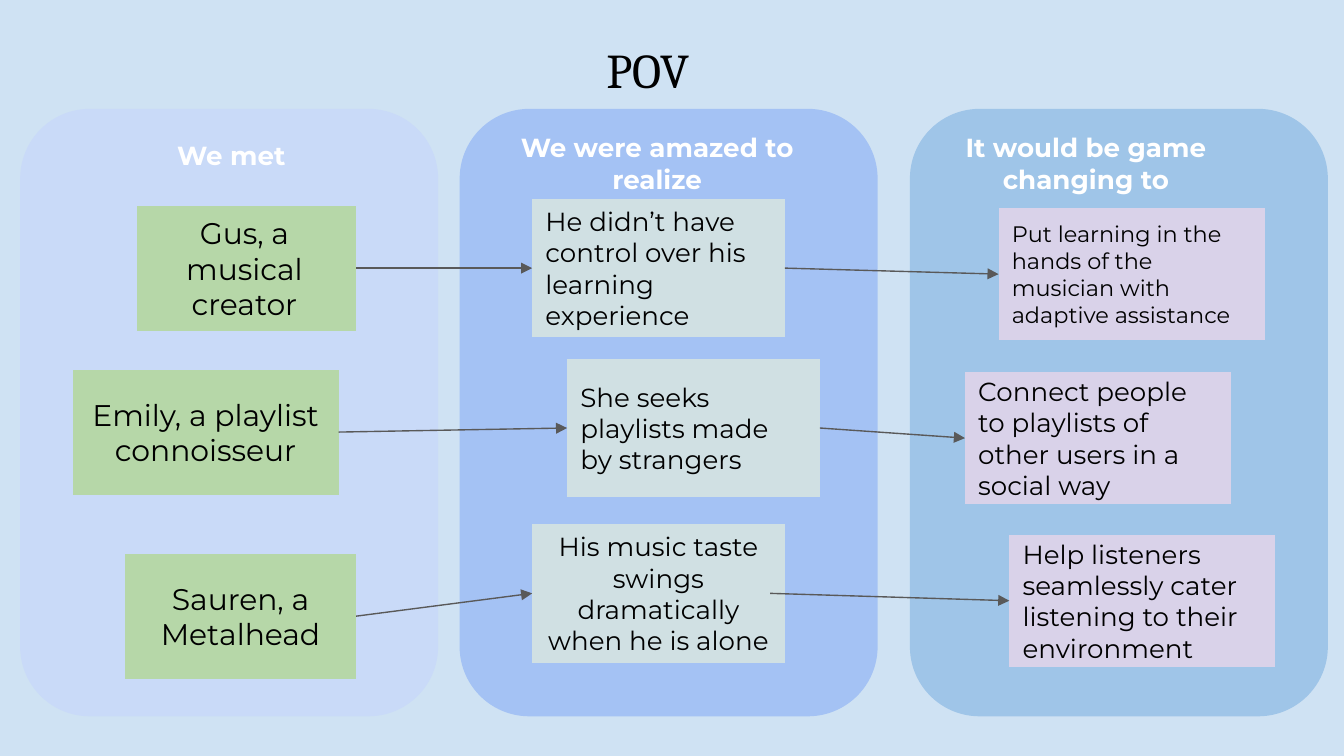
from lxml import etree
from pptx import Presentation
from pptx.dml.color import RGBColor
from pptx.enum import shapes, text
from pptx.oxml.ns import qn
from pptx.util import Inches, Pt

SHAPE = shapes.MSO_SHAPE
CENTER, LEFT = text.PP_ALIGN.CENTER, text.PP_ALIGN.LEFT
LEFT_SITE, RIGHT_SITE = 1, 3

PANELS = [(0.15, "C9DAF8"), (3.42, "A4C2F4"), (6.77, "9FC5E8")]
HEADINGS = [
    ("We met", 1.22, 0.94, 1.14, 0.44, LEFT),
    ("We were amazed to realize", 3.51, 0.88, 2.76, 0.67, CENTER),
    ("It would be game changing to", 6.77, 0.88, 2.62, 0.67, CENTER),
]
# Each card: wording, left, top, width, text size, alignment
PEOPLE = [
    ("Gus, a musical creator", 1.02, 1.53, 1.63, 16, CENTER),
    ("Emily, a playlist connoisseur", 0.54, 2.75, 1.98, 16, CENTER),
    ("Sauren, a Metalhead", 0.93, 4.12, 1.72, 16, CENTER),
]
INSIGHTS = [
    ("He didn’t have control over his learning experience",
     3.96, 1.48, 1.88, 14, LEFT),
    ("She seeks playlists made by strangers", 4.22, 2.67, 1.88, 14, LEFT),
    ("His music taste swings dramatically when he is alone",
     3.96, 3.9, 1.88, 14, CENTER),
]
CHANGES = [
    ("Put learning in the hands of the musician with adaptive assistance",
     7.43, 1.55, 1.98, 12, LEFT),
    ("Connect people to playlists of other users in a social way",
     7.18, 2.77, 1.98, 14, LEFT),
    ("Help listeners seamlessly cater listening to their environment",
     7.51, 3.98, 1.98, 14, LEFT),
]


def color(value):
    return RGBColor.from_string(value)


def write(shape, words, size, align, font="Montserrat", ink="000000", bold=False):
    frame = shape.text_frame
    frame.word_wrap = True
    frame.margin_left = frame.margin_right = Inches(0.1)
    frame.margin_top = frame.margin_bottom = Inches(0.1)
    paragraph = frame.paragraphs[0]
    paragraph.alignment = align
    run = paragraph.add_run()
    run.text = words
    run.font.name = font
    run.font.size = Pt(size)
    run.font.bold = bold
    run.font.color.rgb = color(ink)


def add_block(slide, kind, left, top, width, height, fill):
    shape = slide.shapes.add_shape(
        kind, Inches(left), Inches(top), Inches(width), Inches(height))
    shape.shadow.inherit = False
    shape.fill.solid()
    shape.fill.fore_color.rgb = color(fill)
    shape.line.fill.background()
    return shape


def add_label(slide, words, left, top, width, height, size, align, **style):
    box = slide.shapes.add_textbox(
        Inches(left), Inches(top), Inches(width), Inches(height))
    write(box, words, size, align, **style)
    box.text_frame.auto_size = text.MSO_AUTO_SIZE.SHAPE_TO_FIT_TEXT


def add_cards(slide, cards, height, fill):
    blocks = []
    for words, left, top, width, size, align in cards:
        block = add_block(slide, SHAPE.FLOWCHART_PROCESS,
                          left, top, width, height, fill)
        write(block, words, size, align)
        block.text_frame.vertical_anchor = text.MSO_ANCHOR.MIDDLE
        blocks.append(block)
    return blocks


def add_arrow(slide, source, target, overlap=0):
    """Join facing sides; overlap starts the arrow inside the source card."""
    arrow = slide.shapes.add_connector(
        shapes.MSO_CONNECTOR.STRAIGHT,
        source.left + source.width - Inches(overlap),
        source.top + source.height // 2,
        target.left, target.top + target.height // 2)
    if not overlap:
        arrow.begin_connect(source, RIGHT_SITE)
    arrow.end_connect(target, LEFT_SITE)
    arrow.line.color.rgb = color("595959")
    arrow.line.width = Pt(0.75)
    line = arrow._element.spPr.find(qn("a:ln"))
    etree.SubElement(line, qn("a:tailEnd"), type="triangle")
    etree.SubElement(arrow._element.spPr, qn("a:effectLst"))


def main():
    presentation = Presentation()
    presentation.slide_width = Inches(10)
    presentation.slide_height = presentation.slide_width * 9 // 16
    slide = presentation.slides.add_slide(presentation.slide_layouts[6])
    slide.background.fill.solid()
    slide.background.fill.fore_color.rgb = color("CFE2F3")

    for left, fill in PANELS:
        add_block(slide, SHAPE.FLOWCHART_ALTERNATE_PROCESS,
                  left, 0.81, 3.11, 4.52, fill)
    add_label(slide, "POV", 3.51, 0.2, 2.62, 0.64, 26, CENTER, font="Cambria")

    people = add_cards(slide, PEOPLE, 0.93, "B6D7A8")
    people[0].text_frame.margin_right = Inches(0.13)
    insights = add_cards(slide, INSIGHTS, 1.03, "D0E0E3")
    changes = add_cards(slide, CHANGES, 0.98, "D9D2E9")

    for person, insight in zip(people, insights):
        add_arrow(slide, person, insight)
    for words, left, top, width, height, align in HEADINGS:
        add_label(slide, words, left, top, width, height, 14, align,
                  ink="FFFFFF", bold=True)
    for insight, change, overlap in zip(insights, changes, (0, 0, 0.11)):
        add_arrow(slide, insight, change, overlap)

    presentation.save("out.pptx")


if __name__ == "__main__":
    main()
